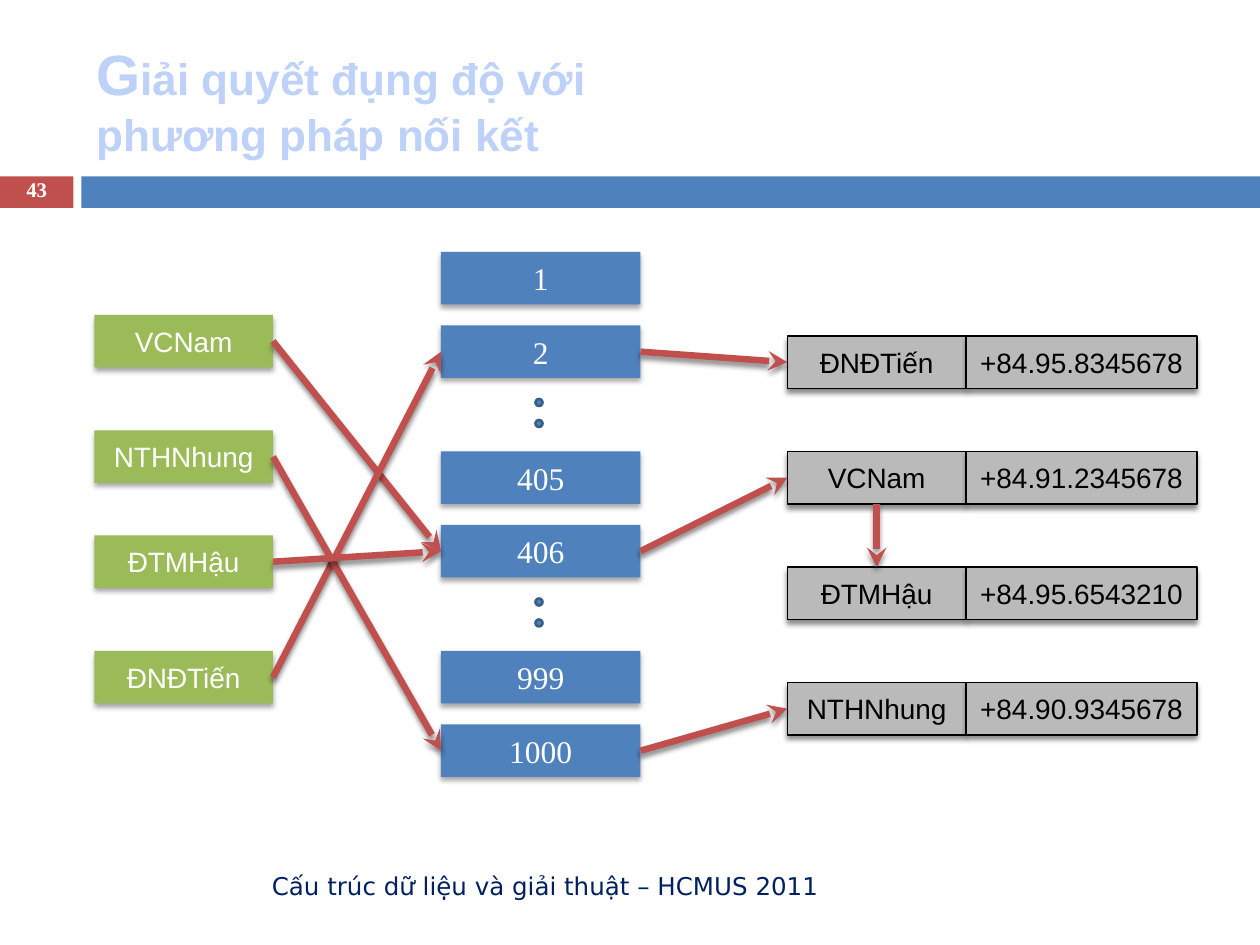
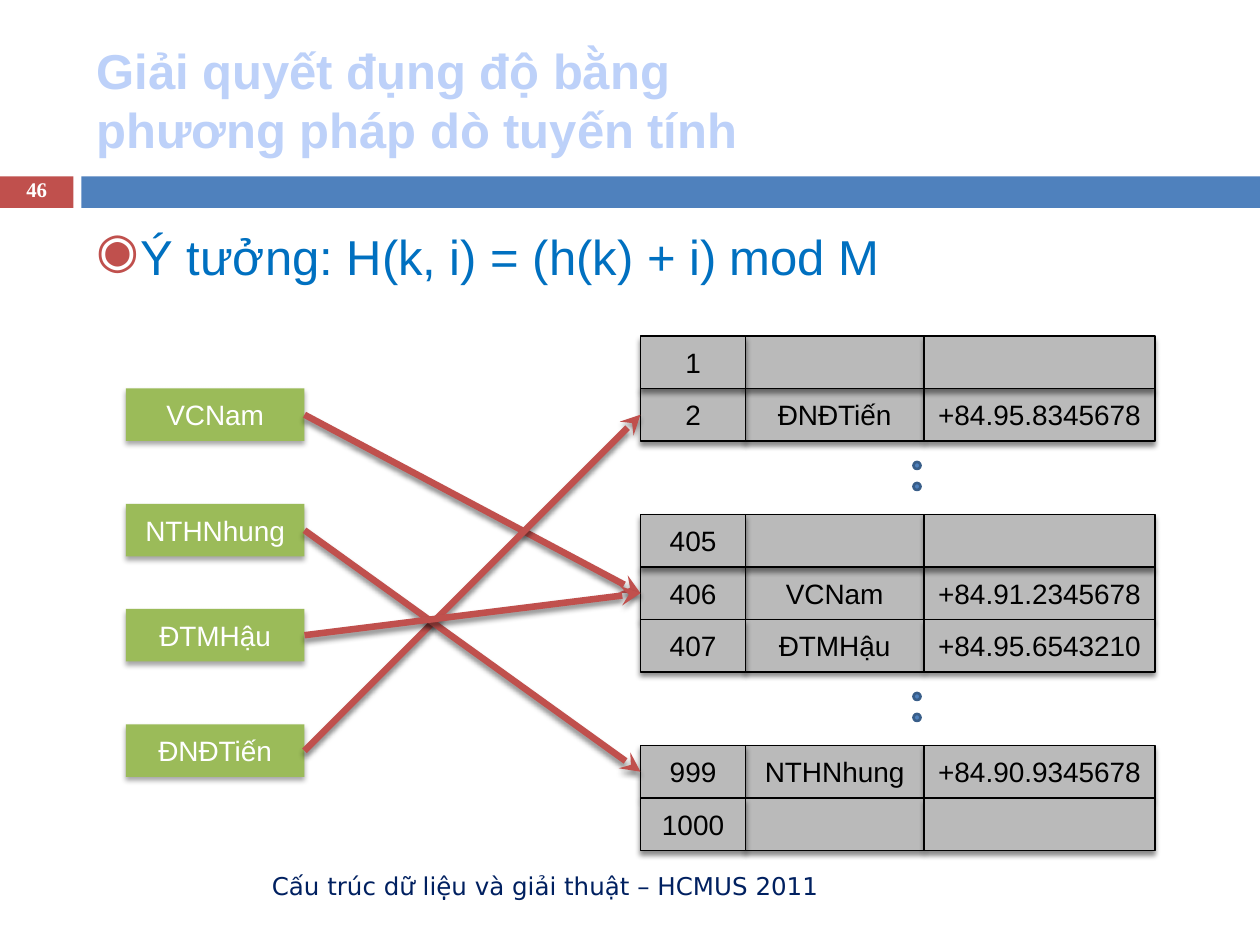
from copy import deepcopy

from lxml.etree import SubElement
from pptx import Presentation
from pptx.dml.color import RGBColor
from pptx.enum.shapes import MSO_CONNECTOR, MSO_SHAPE
from pptx.enum.text import MSO_ANCHOR, MSO_AUTO_SIZE, PP_ALIGN
from pptx.oxml.ns import qn
from pptx.util import Pt

BLUE, RED, GREEN, GREY = "4F81BD", "C0504D", "9BBB59", "BABABA"
PALE, NAVY, IDEA, RIM = "BDD1F9", "002060", "0070C0", "395E89"
WHITE, BLACK = "FFFFFF", "000000"
SANS, SERIF, FOOT = "Arial", "Times New Roman", "DejaVu Sans"

FOOTER = "Cấu trúc dữ liệu và giải thuật – HCMUS 2011"
PHONES = {
    "ĐNĐTiến": "+84.95.8345678",
    "VCNam": "+84.91.2345678",
    "ĐTMHậu": "+84.95.6543210",
    "NTHNhung": "+84.90.9345678",
}
KEYS = [("VCNam", 180), ("NTHNhung", 246), ("ĐTMHậu", 306), ("ĐNĐTiến", 372)]

CHAIN = {
    "title": "Giải quyết đụng độ với\nphương pháp nối kết",
    "number": "43",
    "slots": [("1", 144), ("2", 186), ("405", 258), ("406", 300),
              ("999", 372), ("1000", 414)],
    "hash": [("VCNam", "406"), ("ĐNĐTiến", "2"),
             ("NTHNhung", "1000"), ("ĐTMHậu", "406")],
    "heads": [("2", "ĐNĐTiến"), ("406", "VCNam"), ("1000", "NTHNhung")],
    "next": ("VCNam", "ĐTMHậu"),
}
PROBE = {
    "title": "Giải quyết đụng độ bằng\nphương pháp dò tuyến tính",
    "number": "46",
    "idea": "Ý tưởng: H(k, i) = (h(k) + i) mod M",
    "blocks": [
        (192, [("1", ""), ("2", "ĐNĐTiến")]),
        (294, [("405", ""), ("406", "VCNam"), ("407", "ĐTMHậu")]),
        (426, [("999", "NTHNhung"), ("1000", "")]),
    ],
    "hash": [("VCNam", "406"), ("ĐNĐTiến", "2"),
             ("NTHNhung", "999"), ("ĐTMHậu", "406")],
}

HIGH, NAME_W, PHONE_W, SLOT_W, INDEX_W = 30, 102, 132, 114, 60
TOP, LEFT, BOTTOM, RIGHT = range(4)  # connection sites of a rectangle


def rgb(code):
    return RGBColor.from_string(code)


def write(frame, text, size=16, font=SANS, color=BLACK, bold=False,
          align=PP_ALIGN.CENTER, anchor=MSO_ANCHOR.MIDDLE, space=None,
          cap=None, bullet=None):
    """Fill a frame with one paragraph; cap is the size of its first letter."""
    frame.word_wrap = True
    frame.auto_size = MSO_AUTO_SIZE.NONE
    frame.vertical_anchor = anchor
    para = frame.paragraphs[0]
    para.alignment = align
    if space:
        para.line_spacing = space
    if bullet:
        props = para._p.get_or_add_pPr()
        props.set("marL", str(Pt(25.2)))
        props.set("indent", str(Pt(-25.2)))
        tint = SubElement(props, qn("a:buClr"))
        SubElement(tint, qn("a:srgbClr"), val=RED)
        SubElement(props, qn("a:buChar"), char=bullet)

    def add(part, points):
        run = para.add_run()
        run.text = part
        run.font.size, run.font.name, run.font.bold = Pt(points), font, bold
        run.font.color.rgb = rgb(color)
        return run

    first, *rest = text.split("\n")
    if cap:
        add(first[0], cap)
        first = first[1:]
    run = add(first, size)
    for line in rest:
        para.add_line_break()
        para._p[-1].insert(0, deepcopy(run._r.rPr))
        add(line, size)


def shade(item, alpha, drop):
    """Give a shape or connector a soft shadow straight below it."""
    props = item._element.spPr
    effects = props.find(qn("a:effectLst"))
    if effects is None:
        effects = SubElement(props, qn("a:effectLst"))
    outer = SubElement(effects, qn("a:outerShdw"), blurRad=str(Pt(3)),
                       dist=str(Pt(drop)), dir="5400000", rotWithShape="0")
    tint = SubElement(outer, qn("a:srgbClr"), val=BLACK)
    SubElement(tint, qn("a:alpha"), val=str(alpha * 1000))


def draw(slide, box, fill, line=None, width=0.79, kind=MSO_SHAPE.RECTANGLE):
    shape = slide.shapes.add_shape(kind, *map(Pt, box))
    shape.shadow.inherit = False
    shape.fill.solid()
    shape.fill.fore_color.rgb = rgb(fill)
    if line:
        shape.line.color.rgb = rgb(line)
        shape.line.width = Pt(width)
    else:
        shape.line.fill.background()
    return shape


def label(slide, box, text, **style):
    write(slide.shapes.add_textbox(*map(Pt, box)).text_frame, text, **style)


def block(slide, box, fill, text, **style):
    shape = draw(slide, box, fill)
    shade(shape, 35, 2)
    write(shape.text_frame, text, color=WHITE, **style)
    return shape


def cell(slide, box, text):
    shape = draw(slide, box, GREY, BLACK)
    shade(shape, 45, 2.4)
    if text:
        write(shape.text_frame, text)
    return shape


def arrow(slide, start, end, out=RIGHT, into=LEFT):
    link = slide.shapes.add_connector(MSO_CONNECTOR.STRAIGHT, 0, 0, 0, 0)
    link.begin_connect(start, out)
    link.end_connect(end, into)
    link.line.color.rgb = rgb(RED)
    link.line.width = Pt(3.75)
    SubElement(link.line._get_or_add_ln(), qn("a:tailEnd"), type="stealth")
    shade(link, 45, 2.4)


def dots(slide, left, tops):
    for top in tops:
        for y in (top, top + 12):
            draw(slide, (left, y, 4, 4), BLUE, RIM, 1.5, MSO_SHAPE.OVAL)


def keys(slide, left, shift=0):
    return {name: block(slide, (left, top + shift, NAME_W, HIGH), GREEN, name)
            for name, top in KEYS}


def start(deck, data, size, cap=None):
    """Add a slide with its title, bands, number and footer."""
    slide = deck.slides.add_slide(deck.slide_layouts[5])
    draw(slide, (0, 100.8, 42, 18), RED)
    draw(slide, (46.5, 100.8, 673.5, 18), BLUE)
    title = slide.shapes.title
    title.left, title.top, title.width, title.height = map(
        Pt, (48, 18, 642, 78))
    write(title.text_frame, data["title"], size=size, cap=cap, color=PALE,
          bold=True, align=PP_ALIGN.LEFT)
    label(slide, (48, 492, 427, 28.8), FOOTER, size=14, font=FOOT,
          color=NAVY, align=PP_ALIGN.RIGHT)
    label(slide, (0, 100, 42, 19.2), data["number"], size=11.9, font=SERIF,
          color=WHITE, bold=True, space=0.8)
    return slide


def chain(deck):
    slide = start(deck, CHAIN, 25.2, cap=32.4)
    slots = {text: block(slide, (252, top, SLOT_W, HIGH), BLUE, text,
                         size=18, font=SERIF)
             for text, top in CHAIN["slots"]}
    dots(slide, 306, (228, 342))
    names = keys(slide, 54)
    nodes = {}
    for i, (name, phone) in enumerate(PHONES.items()):
        top = 192 + 66 * i
        nodes[name] = cell(slide, (450, top, NAME_W, HIGH), name)
        cell(slide, (450 + NAME_W, top, PHONE_W, HIGH), phone)
    for name, slot in CHAIN["hash"]:
        arrow(slide, names[name], slots[slot])
    for slot, name in CHAIN["heads"]:
        arrow(slide, slots[slot], nodes[name])
    first, second = CHAIN["next"]
    arrow(slide, nodes[first], nodes[second], BOTTOM, TOP)


def probe(deck):
    slide = start(deck, PROBE, 28)
    label(slide, (48, 126, 642, 354), PROBE["idea"], size=28, color=IDEA,
          align=PP_ALIGN.LEFT, anchor=MSO_ANCHOR.TOP, bullet="◉")
    dots(slide, 522, (264, 396))
    names = keys(slide, 72, 42)
    rows = [(top + HIGH * i, index, name)
            for top, group in PROBE["blocks"]
            for i, (index, name) in enumerate(group)]
    slots = {}
    # Empty rows go last so that their shadows fall on the filled ones
    for top, index, name in sorted(rows, key=lambda row: not row[2]):
        left = 366 + INDEX_W
        cell(slide, (left, top, NAME_W, HIGH), name)
        cell(slide, (left + NAME_W, top, PHONE_W, HIGH), PHONES.get(name))
        slots[index] = cell(slide, (366, top, INDEX_W, HIGH), index)
    for name, index in PROBE["hash"]:
        arrow(slide, names[name], slots[index])


def main():
    deck = Presentation()
    deck.slide_width, deck.slide_height = Pt(720), Pt(540)
    chain(deck)
    probe(deck)
    deck.save("out.pptx")


if __name__ == "__main__":
    main()
